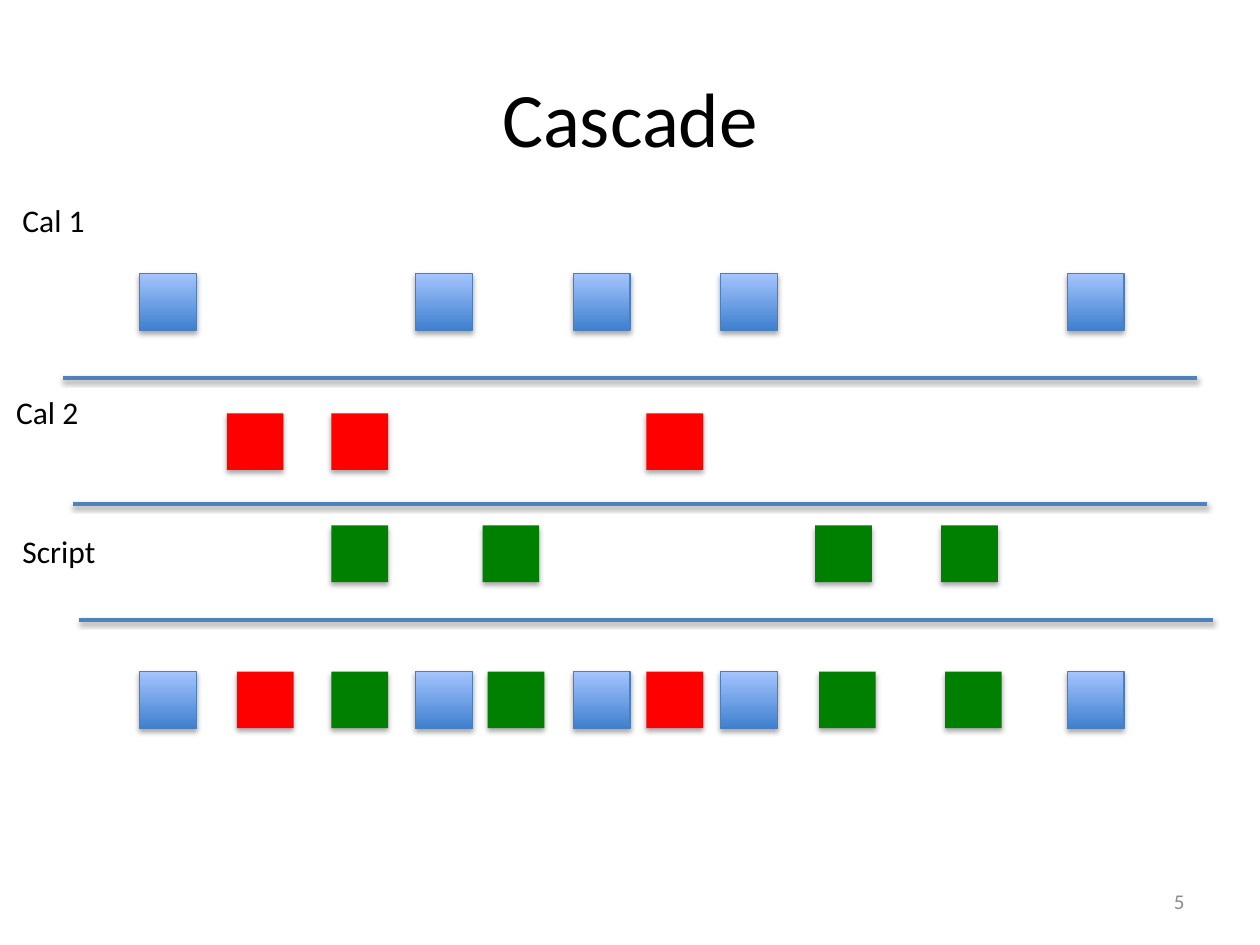
import pptx
import pptx.util
import pptx.dml.color
import pptx.enum.shapes
import pptx.enum.text
import lxml.etree

Inches = pptx.util.Inches
Pt = pptx.util.Pt
ALIGN = pptx.enum.text.PP_ALIGN
ANCHOR = pptx.enum.text.MSO_ANCHOR

COLORS = {
    "text": "000000",
    "number": "8C8C8C",
    "divider": "4F81BD",
    "outline": "4B7EBC",
    "blue_bottom": "3F80CE",
    "blue_top": "A4C4FF",
    "red": "FF0000",
    "green": "008000",
    "shadow": "000000",
}
FONT = "Calibri"
SQUARE = 0.45
DIVIDER_LENGTH = 9
MERGED_TOP = 5.33

TITLE = "Cascade"
LABELS = [("Cal 1", 0.08, 1.55), ("Cal 2", 0.03, 3.07), ("Script", 0.08, 4.17)]
DIVIDERS = [(0.5, 3), (0.58, 4), (0.63, 4.92)]
BLUE_LEFTS = [1.11, 3.3, 4.55, 5.72, 8.47]
EVENT_ROWS = [
    ("blue", 2.17, BLUE_LEFTS),
    ("red", 3.28, [1.8, 2.63, 5.13]),
    ("green", 4.17, [2.63, 3.83, 6.47, 7.47]),
    ("blue", MERGED_TOP, BLUE_LEFTS),
    ("red", MERGED_TOP, [1.88, 5.13]),
    ("green", MERGED_TOP, [2.63, 3.87, 6.5, 7.5]),
]


def rgb(name):
    return pptx.dml.color.RGBColor.from_string(COLORS[name])


def add_shadow(shape, opacity, distance):
    namespace = "http://schemas.openxmlformats.org/drawingml/2006/main"
    shape._element.spPr.append(lxml.etree.fromstring(
        f'<a:effectLst xmlns:a="{namespace}">'
        f'<a:outerShdw blurRad="{Pt(3.1)}" dist="{Pt(distance)}" dir="5400000" rotWithShape="0">'
        f'<a:srgbClr val="{COLORS["shadow"]}"><a:alpha val="{opacity * 1000}"/></a:srgbClr>'
        '</a:outerShdw></a:effectLst>'))


def set_text(shape, text, size, color="text", align=ALIGN.LEFT, anchor=ANCHOR.TOP):
    frame = shape.text_frame
    frame.text = text
    frame.word_wrap = True
    frame.vertical_anchor = anchor
    paragraph = frame.paragraphs[0]
    paragraph.alignment = align
    paragraph.font.name = FONT
    paragraph.font.size = Pt(size)
    paragraph.font.color.rgb = rgb(color)


def add_event(shapes, color, left, top):
    square = shapes.add_shape(pptx.enum.shapes.MSO_SHAPE.RECTANGLE, Inches(left), Inches(top),
                              Inches(SQUARE), Inches(SQUARE))
    if color == "blue":
        square.fill.gradient()
        square.fill.gradient_angle = 90
        for stop, name in zip(square.fill.gradient_stops, ("blue_bottom", "blue_top")):
            stop.color.rgb = rgb(name)
        square.line.color.rgb = rgb("outline")
        square.line.width = Pt(0.75)
    else:
        square.fill.solid()
        square.fill.fore_color.rgb = rgb(color)
        square.line.fill.background()
    add_shadow(square, 35, 1.8)


def add_divider(slide, left, top):
    divider = slide.shapes.add_connector(
        pptx.enum.shapes.MSO_CONNECTOR.STRAIGHT, Inches(left), Inches(top),
        Inches(left + DIVIDER_LENGTH), Inches(top))
    divider.line.color.rgb = rgb("divider")
    divider.line.width = Pt(2)
    add_shadow(divider, 38, 1.6)


def main():
    presentation = pptx.Presentation()
    presentation.slide_width, presentation.slide_height = Inches(10), Inches(7.5)
    slide = presentation.slides.add_slide(presentation.slide_layouts[5])

    title = slide.shapes.title
    title.left, title.top, title.width, title.height = map(Inches, (0.5, 0.3, 9, 1.25))
    set_text(title, TITLE, 44, align=ALIGN.CENTER, anchor=ANCHOR.MIDDLE)

    number = slide.shapes.add_textbox(Inches(7.17), Inches(6.95), Inches(2.33), Inches(0.4))
    set_text(number, "5", 12, "number", ALIGN.RIGHT, ANCHOR.MIDDLE)

    for color, top, lefts in EVENT_ROWS:
        group = slide.shapes.add_group_shape()
        for left in lefts:
            add_event(group.shapes, color, left, top)

    for left, top in DIVIDERS:
        add_divider(slide, left, top)

    for text, left, top in LABELS:
        label = slide.shapes.add_textbox(Inches(left), Inches(top), Inches(0.94), Inches(0.4))
        set_text(label, text, 18)

    presentation.save("out.pptx")


if __name__ == "__main__":
    main()
